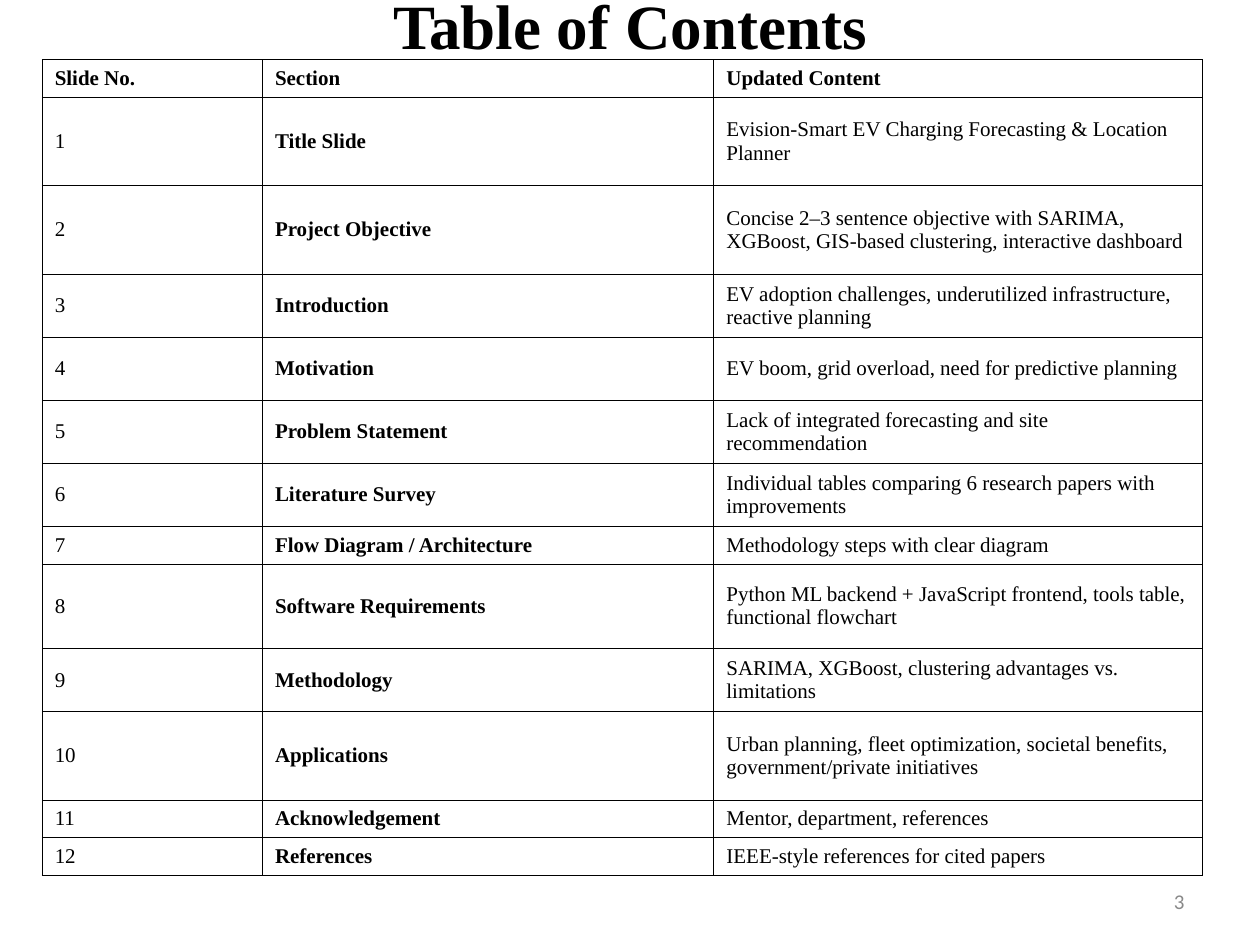
from lxml.etree import SubElement
from pptx import Presentation
from pptx.dml.color import RGBColor
from pptx.enum.text import MSO_ANCHOR as Anchor, MSO_AUTO_SIZE as AutoSize, PP_ALIGN as Align
from pptx.oxml.ns import qn
from pptx.util import Cm, Pt

SERIF = "Times New Roman"
BLACK = "000000"
COLUMN_WIDTHS = (4.44, 9.1, 9.85)
HEADINGS = ("Slide No.", "Section", "Updated Content")
SHORT, MEDIUM, TALL = 0.76, 1.27, 1.78
SECTIONS = [
    (TALL, "Title Slide", "Evision-Smart EV Charging Forecasting & Location Planner"),
    (TALL, "Project Objective",
     "Concise 2–3 sentence objective with SARIMA, XGBoost, GIS-based clustering, interactive dashboard"),
    (MEDIUM, "Introduction",
     "EV adoption challenges, underutilized infrastructure, reactive planning"),
    (MEDIUM, "Motivation", "EV boom, grid overload, need for predictive planning"),
    (MEDIUM, "Problem Statement", "Lack of integrated forecasting and site recommendation"),
    (MEDIUM, "Literature Survey",
     "Individual tables comparing 6 research papers with improvements"),
    (SHORT, "Flow Diagram / Architecture", "Methodology steps with clear diagram"),
    (1.7, "Software Requirements",
     "Python ML backend + JavaScript frontend, tools table, functional flowchart"),
    (MEDIUM, "Methodology", "SARIMA, XGBoost, clustering advantages vs. limitations"),
    (TALL, "Applications",
     "Urban planning, fleet optimization, societal benefits, government/private initiatives"),
    (SHORT, "Acknowledgement", "Mentor, department, references"),
    (SHORT, "References", "IEEE-style references for cited papers"),
]


def color(hex_code):
    return RGBColor.from_string(hex_code)


def write(frame, text, size=12, font=SERIF, fill=BLACK, bold=False,
          align=Align.LEFT, anchor=Anchor.MIDDLE):
    frame.word_wrap = True
    frame.vertical_anchor = anchor
    para = frame.paragraphs[0]
    para.alignment = align
    span = para.add_run()
    span.text = text
    span.font.name = font
    span.font.size = Pt(size)
    span.font.bold = bold
    span.font.color.rgb = color(fill)


def draw_borders(cell, hex_code=BLACK, width=0.45):
    properties = cell._tc.get_or_add_tcPr()
    for side in ("a:lnL", "a:lnR", "a:lnT", "a:lnB"):
        line = SubElement(properties, qn(side), w=str(Pt(width)))
        fill = SubElement(line, qn("a:solidFill"))
        SubElement(fill, qn("a:srgbClr"), val=hex_code)


def add_title(page, left, top, width, height):
    title = page.shapes.title
    title.left, title.top, title.width, title.height = left, top, width, height
    title.text_frame.auto_size = AutoSize.NONE
    write(title.text_frame, "Table of Contents", size=36, bold=True,
          align=Align.CENTER, anchor=Anchor.TOP)


def add_contents_table(page, left, top, width, height):
    rows = [HEADINGS] + [(str(number), section, content)
                         for number, (_, section, content) in enumerate(SECTIONS, 1)]
    heights = [SHORT] + [section[0] for section in SECTIONS]
    table = page.shapes.add_table(len(rows), len(HEADINGS), left, top, width, height).table
    table.first_row = table.horz_banding = False
    for column, share in zip(table.columns, COLUMN_WIDTHS):
        column.width = int(width * share / sum(COLUMN_WIDTHS))
    for row, share in zip(table.rows, heights):
        row.height = int(height * share / sum(heights))
    for r, texts in enumerate(rows):
        for c, text in enumerate(texts):
            cell = table.cell(r, c)
            cell.vertical_anchor = Anchor.MIDDLE
            write(cell.text_frame, text, bold=r == 0 or c == 1, anchor=None)
            draw_borders(cell)
            cell.fill.background()


def add_page_number(page, left, top, width, height):
    box = page.shapes.add_textbox(left, top, width, height)
    write(box.text_frame, "3", font="Calibri", fill="898989", align=Align.RIGHT)


def main():
    deck = Presentation()
    deck.slide_width, deck.slide_height = Cm(25.4), Cm(19.05)
    page = deck.slides.add_slide(deck.slide_layouts[5])
    add_title(page, Cm(1.27), Cm(-0.4), Cm(22.86), Cm(3.17))
    add_page_number(page, Cm(18.2), Cm(17.66), Cm(5.93), Cm(1.01))
    add_contents_table(page, Cm(0.85), Cm(1.2), Cm(23.39), Cm(16.44))
    deck.save("out.pptx")


if __name__ == "__main__":
    main()
